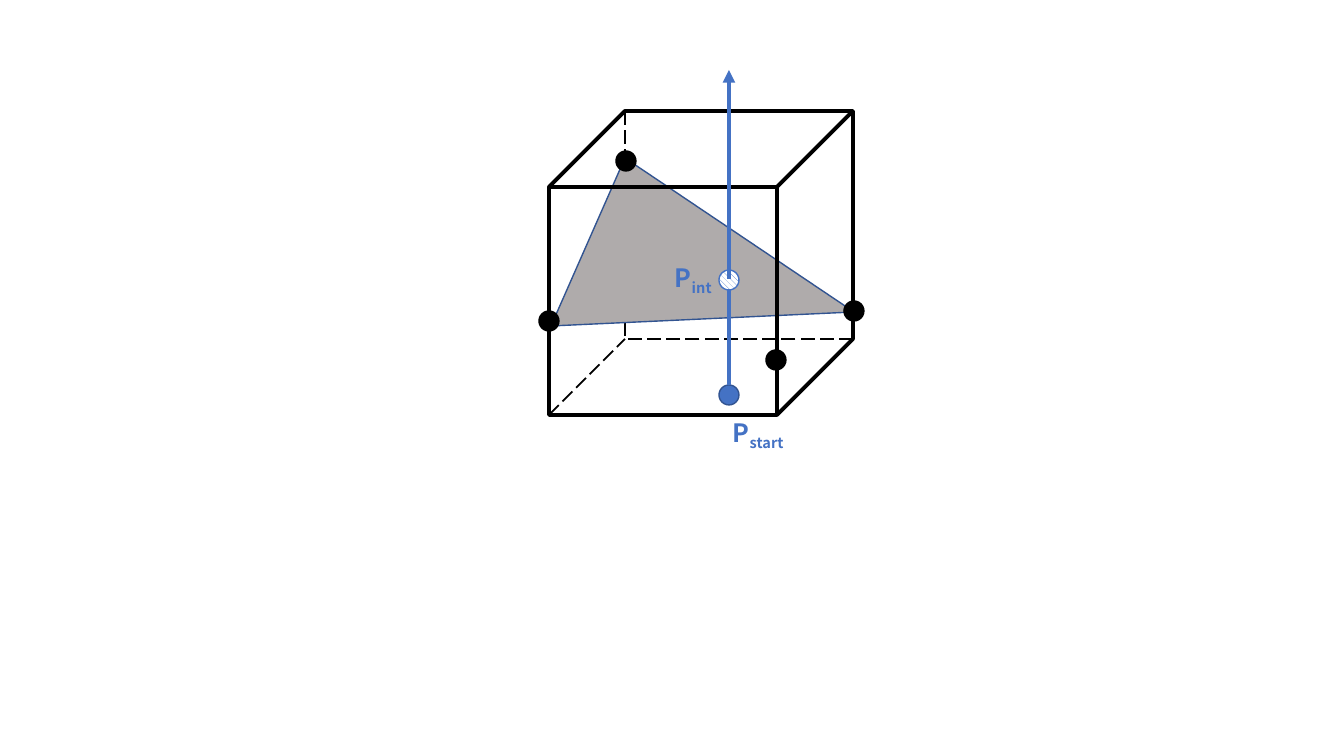
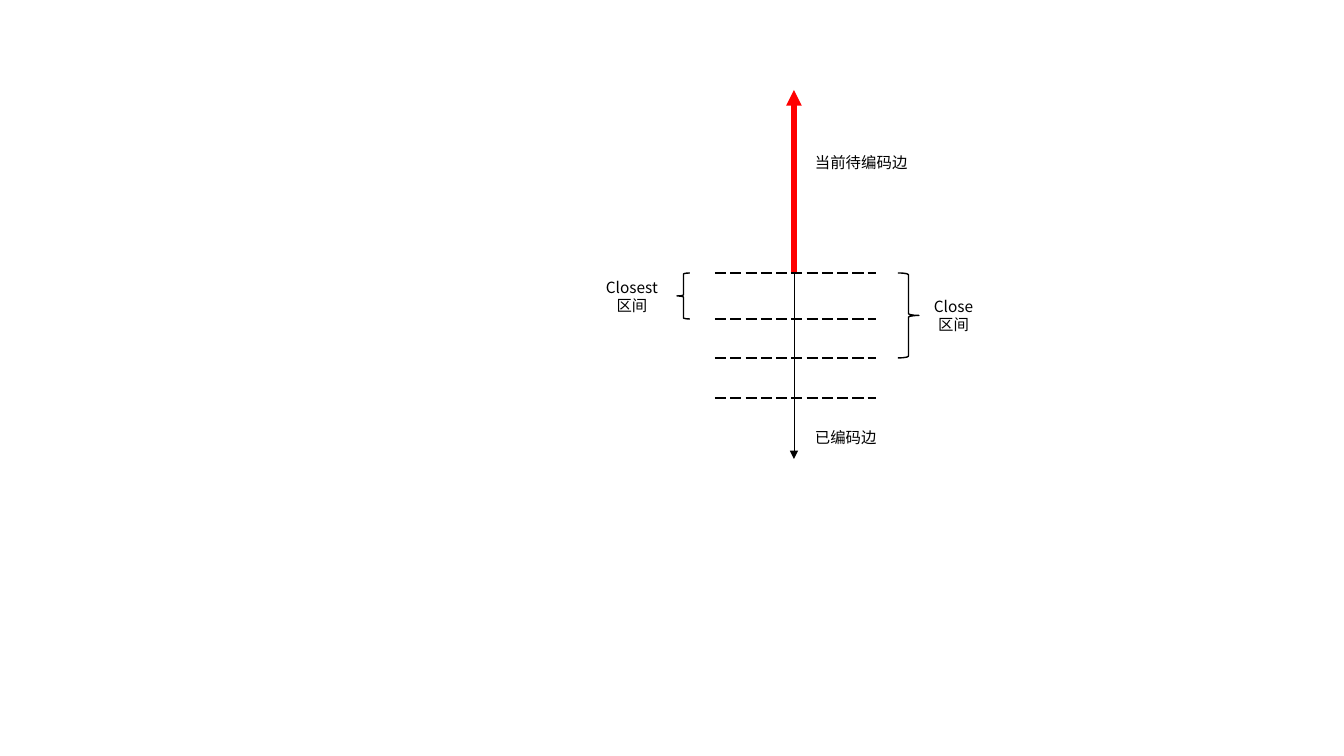
from dataclasses import dataclass
from lxml.etree import SubElement
from pptx import Presentation
from pptx.dml.color import RGBColor
from pptx.enum.dml import MSO_LINE, MSO_PATTERN
from pptx.enum.shapes import MSO_CONNECTOR, MSO_SHAPE
from pptx.enum.text import MSO_AUTO_SIZE, PP_ALIGN
from pptx.oxml.ns import qn
from pptx.util import Emu, Pt

SCALE = 914400 / 100.8


@dataclass(frozen=True)
class Theme:
    font: str = "Noto Sans CJK SC"
    black: str = "000000"
    white: str = "FFFFFF"
    blue: str = "4472C4"
    navy: str = "325491"
    grey: str = "AFABAB"
    red: str = "FF0000"
    big: int = 18
    small: int = 11


T = Theme()


def px(n):
    return Emu(round(n * SCALE))


def rgb(code):
    return RGBColor.from_string(code)


def paint(shape, fill, edge, width=1):
    shape.shadow.inherit = False
    if fill:
        shape.fill.solid()
        shape.fill.fore_color.rgb = rgb(fill)
    else:
        shape.fill.background()
    shape.line.color.rgb = rgb(edge)
    shape.line.width = Pt(width)


def form(parts, kind, box, fill, edge, width=1):
    shape = parts.add_shape(kind, *map(px, box))
    paint(shape, fill, edge, width)
    return shape


def rule(parts, start, end, color, width, dash=False, arrow=False):
    line = parts.add_connector(MSO_CONNECTOR.STRAIGHT, *map(px, start + end))
    line.line.color.rgb = rgb(color)
    line.line.width = Pt(width)
    if dash:
        line.line.dash_style = MSO_LINE.LONG_DASH
    if arrow:
        SubElement(line.line._get_or_add_ln(), qn("a:tailEnd"), type="triangle")
    SubElement(line._element.spPr, qn("a:effectLst"))


def style(para, size, color, bold=False):
    font = para.font
    font.size, font.bold, font.name = Pt(size), bold, T.font
    font.color.rgb = rgb(color)
    SubElement(para._p.pPr.find(qn("a:defRPr")), qn("a:ea"), typeface=T.font)


def dot(parts, x, y, fill, edge):
    return form(parts, MSO_SHAPE.FLOWCHART_CONNECTOR,
                (x - 10, y - 10, 20, 20), fill, edge)


def point(parts, x, y, sub):
    """Label P with a subscript."""
    frame = parts.add_textbox(*map(px, (x, y, 101, 40))).text_frame
    frame.word_wrap = True
    para = frame.paragraphs[0]
    style(para, T.big, T.blue, True)
    para.add_run().text = "P"
    low = para.add_run()
    low.text = sub
    low._r.get_or_add_rPr().set("baseline", "-25000")


def note(parts, box, *lines):
    """White label; lines after the first are centred."""
    area = parts.add_textbox(*map(px, box))
    area.fill.solid()
    area.fill.fore_color.rgb = rgb(T.white)
    frame = area.text_frame
    frame.word_wrap = False
    frame.auto_size = MSO_AUTO_SIZE.SHAPE_TO_FIT_TEXT
    for i, text in enumerate(lines):
        para = frame.add_paragraph() if i else frame.paragraphs[0]
        para.text = text
        style(para, T.small, T.black)
        if i:
            para.alignment = PP_ALIGN.CENTER


def cube(parts, x, y, side):
    depth = side // 4
    back = (x + depth, y + side - depth)

    # Hidden edge behind the triangle
    rule(parts, (x + depth, y), back, T.black, 1.25, dash=True)

    # Cutting triangle
    path = parts.build_freeform(px(x + 2), px(y + 215))
    path.add_line_segments([(px(x + 76), px(y + 47)),
                            (px(x + 305), px(y + 201))], close=True)
    paint(path.convert_to_shape(), T.grey, T.navy)

    # Cube and its other hidden edges
    form(parts, MSO_SHAPE.CUBE, (x, y, side, side), None, T.black, 2.75)
    for end in ((x + side, back[1]), (x, y + side)):
        rule(parts, end, back, T.black, 1.25, dash=True)

    # Points
    ray = x + 180
    dot(parts, ray, y + 284, T.blue, T.navy)
    for dx, dy in ((77, 50), (227, 249), (0, 210), (305, 200)):
        dot(parts, x + dx, y + dy, T.black, T.black)
    hit = dot(parts, ray, y + 169, T.white, T.blue)
    hit.fill.patterned()
    hit.fill.pattern = MSO_PATTERN.WIDE_DOWNWARD_DIAGONAL
    hit.fill.fore_color.rgb = rgb(T.blue)
    hit.fill.back_color.rgb = rgb(T.white)

    # Ray
    rule(parts, (ray, y + 168), (ray, y - 41), T.blue, 3, arrow=True)
    rule(parts, (ray, y + 274), (ray, y + 179), T.blue, 3)
    point(parts, x + 116, y + 146, "int")
    point(parts, x + 174, y + 301, "start")


def edges(parts, x, y):
    # Current edge upward, coded edge downward
    rule(parts, (x, y), (x, y - 183), T.red, 3.75, arrow=True)
    rule(parts, (x, y), (x, y + 186), T.black, 0.5, arrow=True)

    # Interval limits
    for dy in (0, 46, 85, 125):
        rule(parts, (x - 79, y + dy), (x + 82, y + dy), T.black, 1, dash=True)

    # Braces
    form(parts, MSO_SHAPE.LEFT_BRACE, (x - 117, y, 13, 46), T.white, T.black)
    form(parts, MSO_SHAPE.RIGHT_BRACE, (x + 104, y, 21, 85), T.white, T.black)

    # Labels
    note(parts, (x - 198, y, 77, 47), "Closest", "区间")
    note(parts, (x + 130, y + 19, 63, 47), "Close", "区间")
    note(parts, (x + 11, y + 150, 85, 29), "已编码边")
    note(parts, (x + 11, y - 125, 116, 29), "当前待编码边")


deck = Presentation()
deck.slide_width, deck.slide_height = px(1344), px(756)
blank = deck.slide_layouts[6]
cube(deck.slides.add_slide(blank).shapes, 549, 111, 304)
edges(deck.slides.add_slide(blank).shapes.add_group_shape().shapes, 794, 273)
deck.save("out.pptx")
